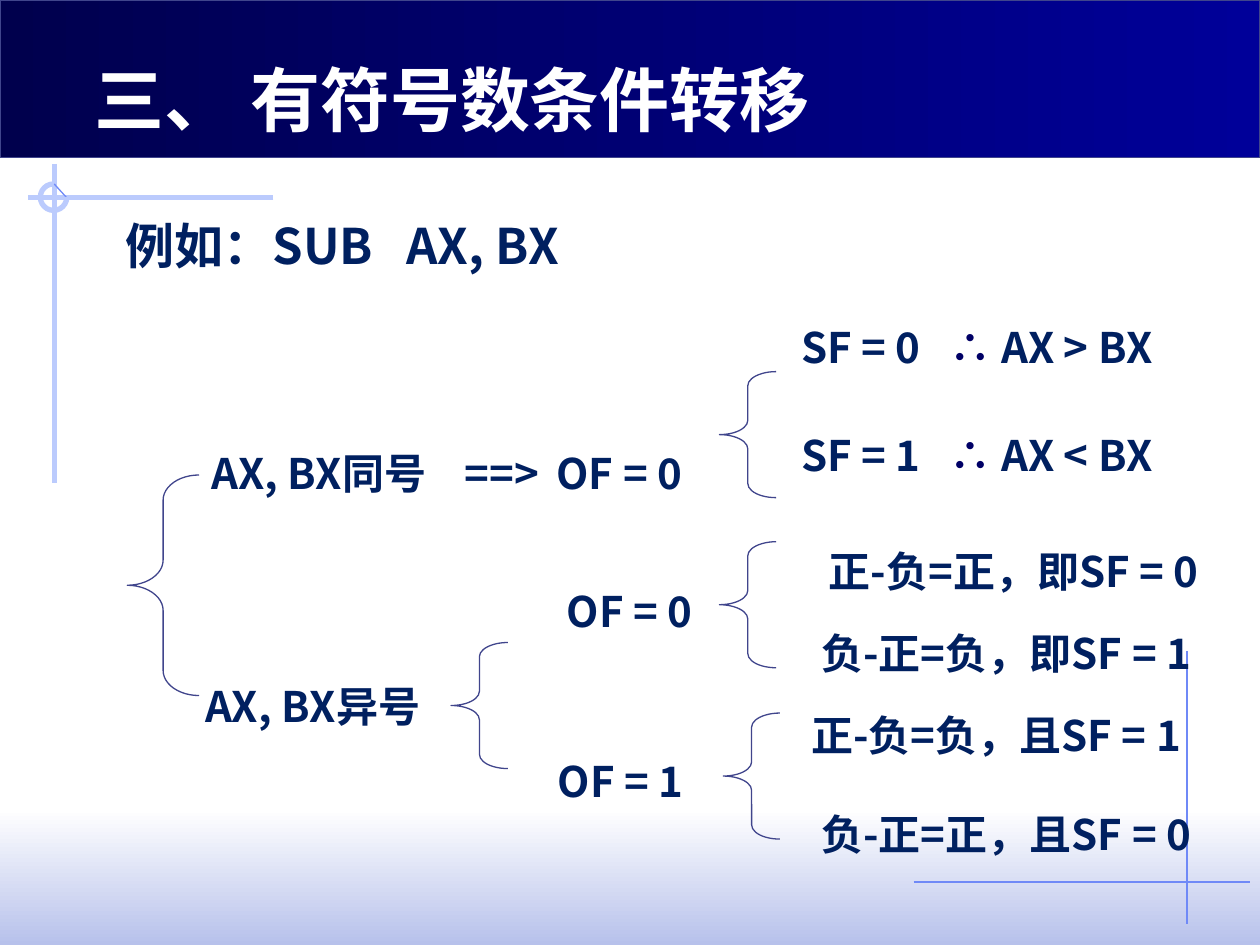
from lxml import etree
from pptx import Presentation
from pptx.dml.color import RGBColor
from pptx.enum.shapes import MSO_CONNECTOR as CONN, MSO_SHAPE as SHAPE
from pptx.enum.text import MSO_ANCHOR as ANCHOR, MSO_AUTO_SIZE as AUTO, PP_ALIGN as ALIGN
from pptx.oxml.ns import qn
from pptx.util import Inches, Pt

WHITE = RGBColor(0xFF, 0xFF, 0xFF)
NAVY = RGBColor(0x00, 0x20, 0x60)
INDIGO = RGBColor(0x00, 0x00, 0x66)
BAND_DARK = RGBColor(0x00, 0x00, 0x4D)
BAND_LIGHT = RGBColor(0x00, 0x00, 0x99)
FOOT = RGBColor(0xB7, 0xC1, 0xEB)
OUTLINE = RGBColor(0x40, 0x45, 0x8C)
PALE = RGBColor(0xBB, 0xCB, 0xFD)
BLUE = RGBColor(0x6F, 0x89, 0xF7)


def add_shape(kind, box, line=None, width=0.75):
    sp = s.shapes.add_shape(kind, *map(Inches, box))
    sp.shadow.inherit = False
    sp.fill.background()
    if line is None:
        sp.line.fill.background()
    else:
        sp.line.color.rgb = line
        sp.line.width = Pt(width)
    return sp


def format_run(r, size, font, color):
    r.font.size = Pt(size)
    r.font.bold = True
    r.font.name = font
    r.font.color.rgb = color
    etree.SubElement(r.font._element, qn("a:ea")).set("typeface", font)


prs = Presentation()
prs.slide_width, prs.slide_height = Inches(10), Inches(7.5)
s = prs.slides.add_slide(prs.slide_layouts[5])

foot = add_shape(SHAPE.RECTANGLE, (0, 6.42, 10, 1.08))
band = add_shape(SHAPE.RECTANGLE, (0, 0, 10, 1.25), OUTLINE)
for sp, angle, colors in ((foot, 270, (WHITE, FOOT)), (band, 0, (BAND_DARK, BAND_LIGHT))):
    sp.fill.gradient()
    sp.fill.gradient_angle = angle
    for stop, position, color in zip(sp.fill.gradient_stops, (0, 1), colors):
        stop.position = position
        stop.color.rgb = color

for x1, y1, x2, y2, color, width in (
    (9.42, 5.17, 9.42, 7.33, BLUE, 0.75),
    (7.25, 7, 9.92, 7, BLUE, 0.75),
    (2.17, 1.57, 0.22, 1.57, PALE, 3),
    (0.43, 1.3, 0.43, 3.83, PALE, 3),
    (0.43, 1.46, 0.53, 1.57, BLUE, 0.75),
):
    line = s.shapes.add_connector(CONN.STRAIGHT, *map(Inches, (x1, y1, x2, y2)))
    line.line.color.rgb = color
    line.line.width = Pt(width)
    etree.SubElement(line._element.spPr, qn("a:effectLst"))

ring = add_shape(SHAPE.ARC, (0.32, 1.46, 0.21, 0.21), PALE, 3)
ring.adjustments[0] = 0
ring.adjustments[1] = 162

title = s.shapes.title
title.element.getparent().append(title.element)
title.left, title.top, title.width, title.height = map(Inches, (0.65, 0.4, 5.89, 0.77))
tf = title.text_frame
tf.text = "三、 有符号数条件转移"
tf.word_wrap = False
tf.auto_size = AUTO.NONE
tf.vertical_anchor = ANCHOR.TOP
p = tf.paragraphs[0]
p.alignment = ALIGN.LEFT
format_run(p.runs[0], 40, "Noto Sans CJK JP", WHITE)

for x, y, w, h, curl in (
    (1.01, 3.77, 0.57, 1.75, 0.35),
    (3.58, 5.1, 0.45, 1, 0.25),
    (5.71, 2.95, 0.45, 1, 0.25),
    (5.71, 4.3, 0.45, 1, 0.25),
    (5.74, 5.66, 0.45, 1, 0.25),
):
    brace = add_shape(SHAPE.LEFT_BRACE, (x, y, w, h), OUTLINE)
    brace.adjustments[0] = curl

for x, y, w, size, tabs, parts in (
    (0.9, 1.66, 7.22, 28, (2.23,), ("例如：SUB\tAX, BX",)),
    (1.58, 3.5, 4.1, 24, (2.01, 2.74), ("AX, BX同号\t==>\tOF = 0",)),
    (1.53, 5.35, 2.55, 24, (), ("AX, BX异号",)),
    (4.4, 4.6, 1.34, 24, (), ("OF = 0",)),
    (4.33, 5.95, 1.34, 24, (), ("OF = 1",)),
    (6.26, 2.5, 3.36, 24, (1.18,), ("SF = 0\t", "∴", " AX > BX")),
    (6.26, 3.36, 3.36, 24, (1.18,), ("SF = 1\t", "∴", " AX < BX")),
    (6.48, 4.28, 3.52, 24, (), ("正-负=正，即SF = 0",)),
    (6.42, 4.93, 3.52, 24, (), ("负-正=负，即SF = 1",)),
    (6.34, 5.58, 3.52, 24, (), ("正-负=负，且SF = 1",)),
    (6.42, 6.37, 3.52, 24, (), ("负-正=正，且SF = 0",)),
):
    h = 0.57 if size == 28 else 0.5
    tf = s.shapes.add_textbox(*map(Inches, (x, y, w, h))).text_frame
    tf.word_wrap = True
    tf.margin_right = 0
    p = tf.paragraphs[0]
    if tabs:
        tab_list = etree.SubElement(p._p.get_or_add_pPr(), qn("a:tabLst"))
        for pos in tabs:
            etree.SubElement(tab_list, qn("a:tab"), pos=str(Inches(pos)), algn="l")
    for part in parts:
        r = p.add_run()
        r.text = part
        format_run(r, size, "Noto Sans CJK SC", INDIGO if part == "∴" else NAVY)

prs.save("out.pptx")
